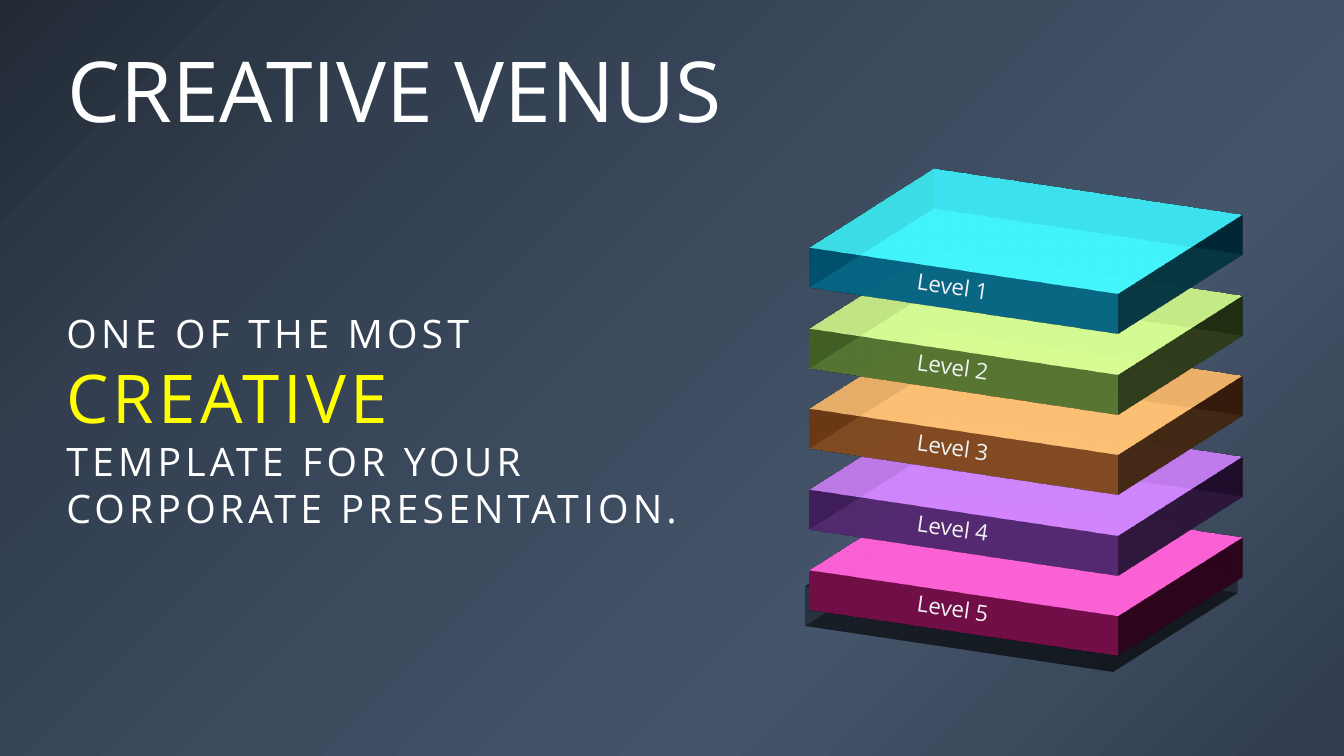
from dataclasses import dataclass

from lxml.etree import SubElement as Sub
from pptx import Presentation
from pptx.dml.color import RGBColor
from pptx.enum.shapes import MSO_SHAPE as Kind
from pptx.enum.text import MSO_ANCHOR as Anchor, MSO_AUTO_SIZE as Auto, PP_ALIGN as Align
from pptx.oxml.ns import qn
from pptx.slide import Slide
from pptx.text.text import TextFrame, _Paragraph as Para
from pptx.util import Cm, Pt

FONT = "Open Sans"
WHITE = RGBColor(0xFF, 0xFF, 0xFF)
PALE = RGBColor(0xF2, 0xF2, 0xF2)
YELLOW = RGBColor(0xFF, 0xFF, 0x00)
BLACK = RGBColor(0x00, 0x00, 0x00)
NIGHT = RGBColor(0x22, 0x2A, 0x35)
NAVY = RGBColor(0x33, 0x3F, 0x50)
SLATE = RGBColor(0x44, 0x54, 0x6A)
BLUE = RGBColor(0x00, 0xB0, 0xF0)
GREEN = RGBColor(0x92, 0xD0, 0x50)
ORANGE = RGBColor(0xED, 0x7D, 0x31)
PURPLE = RGBColor(0x8D, 0x42, 0xC6)
PINK = RGBColor(0xE9, 0x1F, 0x92)

STOPS = [(0, NIGHT), (23, NAVY), (69, SLATE), (97, NAVY)]
PITCH = 2.03


@dataclass
class Line:
    text: str
    size: int
    color: RGBColor


@dataclass
class Level:
    text: str
    color: RGBColor
    shade: bool = False


LINES = [
    Line("ONE OF THE MOST", 28, WHITE),
    Line("CREATIVE", 48, YELLOW),
    Line("TEMPLATE FOR YOUR CORPORATE PRESENTATION.", 28, WHITE),
]
LEVELS = [
    Level("Level 1", BLUE),
    Level("Level 2", GREEN),
    Level("Level 3", ORANGE),
    Level("Level 4", PURPLE),
    Level("Level 5", PINK, True),
]


def paint(slide: Slide) -> None:
    fill = slide.background.fill
    fill.gradient()
    fill.gradient_angle = 315
    stops = slide._element.find(".//" + qn("a:gsLst"))
    for old in list(stops):
        stops.remove(old)
    for spot, color in STOPS:
        stop = Sub(stops, qn("a:gs"), pos=str(spot * 1000))
        Sub(stop, qn("a:srgbClr"), val=str(color))


def write(para: Para, line: Line) -> None:
    para.text = line.text
    para.font.name = FONT
    para.font.size = Pt(line.size)
    para.font.color.rgb = line.color


def setup(frame: TextFrame, anchor: Anchor = Anchor.TOP) -> None:
    frame.word_wrap = True
    frame.auto_size = Auto.NONE
    frame.vertical_anchor = anchor


def place(shape, left: float, top: float, width: float, height: float) -> None:
    shape.left, shape.top = Cm(left), Cm(top)
    shape.width, shape.height = Cm(width), Cm(height)


def slab(slide: Slide, rank: int, level: Level) -> None:
    top = 2.26 + rank * PITCH
    shape = slide.shapes.add_shape(Kind.RECTANGLE, Cm(21.54), Cm(top), Cm(8.64), Cm(7.14))
    shape.shadow.inherit = False
    shape.fill.solid()
    shape.fill.fore_color.rgb = level.color
    shape.line.fill.background()
    props = shape._element.spPr
    tint = props.find(qn("a:solidFill"))[0]
    Sub(tint, qn("a:alpha"), val="90000")
    if level.shade:
        cast = Sub(props.find(qn("a:effectLst")), qn("a:outerShdw"), blurRad=str(Pt(37)),
                   dist=str(Pt(12)), dir=str(107 * 60000), algn="t", rotWithShape="0")
        dark = Sub(cast, qn("a:srgbClr"), val=str(BLACK))
        Sub(dark, qn("a:alpha"), val="40000")
    scene = Sub(props, qn("a:scene3d"))
    Sub(scene, qn("a:camera"), prst="isometricOffAxis2Top")
    Sub(scene, qn("a:lightRig"), rig="threePt", dir="t")
    Sub(props, qn("a:sp3d"), extrusionH=str(Pt(30)))


def label(slide: Slide, rank: int, level: Level) -> None:
    box = slide.shapes.add_textbox(Cm(22.86), Cm(6.76 + rank * PITCH), Cm(2.57), Cm(0.94))
    box.rotation = 8.1
    setup(box.text_frame)
    write(box.text_frame.paragraphs[0], Line(level.text, 16, PALE))


def main() -> None:
    deck = Presentation()
    deck.slide_width, deck.slide_height = Cm(33.87), Cm(19.05)
    slide = deck.slides.add_slide(deck.slide_layouts[1])
    paint(slide)

    title = slide.shapes.title
    place(title, 1.45, 0.84, 20.09, 2.84)
    setup(title.text_frame)
    head = title.text_frame.paragraphs[0]
    head.alignment = Align.LEFT
    write(head, Line("CREATIVE VENUS", 60, WHITE))

    body = slide.placeholders[1]
    place(body, 1.42, 7.67, 16.23, 5.94)
    frame = body.text_frame
    setup(frame)
    for rank, line in enumerate(LINES):
        para = frame.add_paragraph() if rank else frame.paragraphs[0]
        para.space_before = Pt(0)
        props = para._p.get_or_add_pPr()
        props.set("marL", "0")
        props.set("indent", "0")
        Sub(props, qn("a:buNone"))
        write(para, line)
        para.runs[0].font._element.set("spc", "300")

    for rank, level in reversed(list(enumerate(LEVELS))):
        slab(slide, rank, level)
    for rank, level in enumerate(LEVELS):
        label(slide, rank, level)

    deck.save("out.pptx")


if __name__ == "__main__":
    main()
